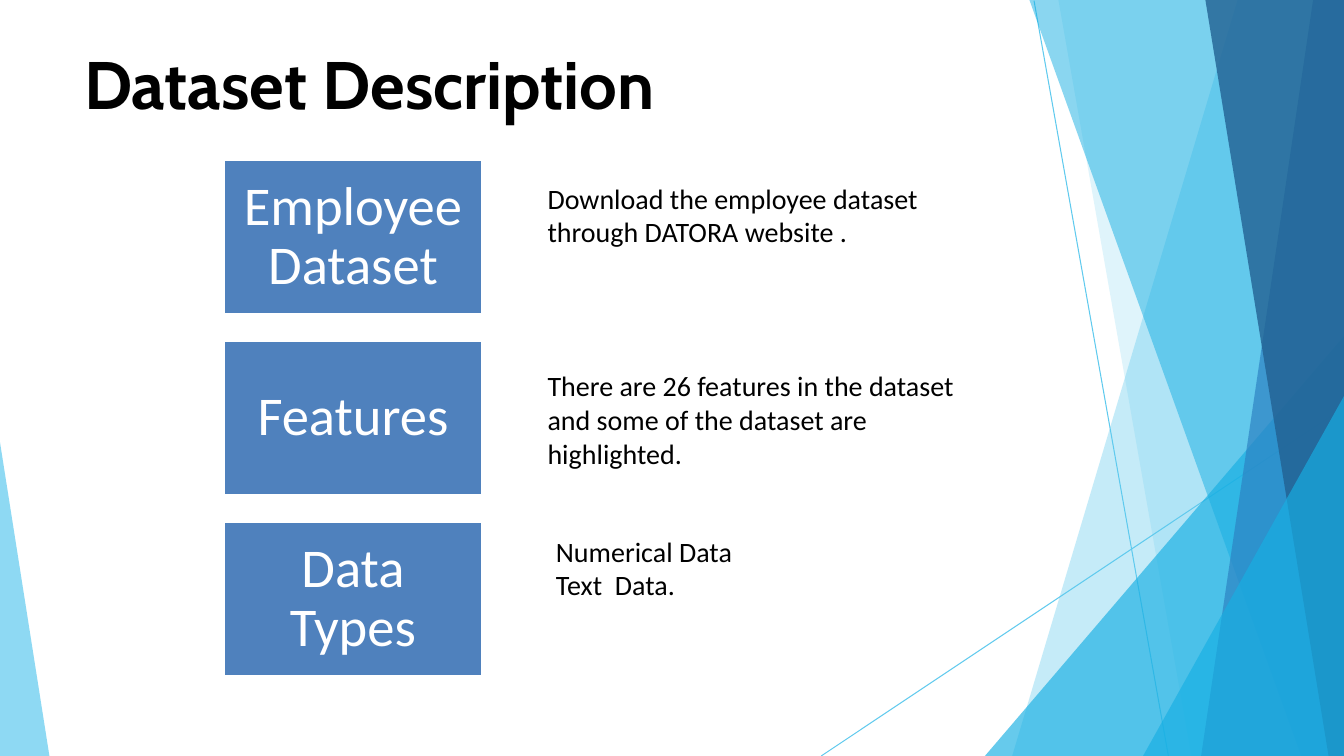
from dataclasses import dataclass

from lxml import etree
from pptx import Presentation
from pptx.dml.color import RGBColor
from pptx.enum.shapes import MSO_CONNECTOR, MSO_SHAPE
from pptx.enum.text import MSO_ANCHOR, PP_ALIGN
from pptx.oxml.ns import qn
from pptx.slide import Slide
from pptx.util import Pt

STRAIGHT = MSO_CONNECTOR.STRAIGHT
RECTANGLE = MSO_SHAPE.RECTANGLE
MIDDLE = MSO_ANCHOR.MIDDLE
CENTER = PP_ALIGN.CENTER

WIDTH, HEIGHT = 960, 540
TOPIC_LEFT, TOPIC_TOP, TOPIC_STEP = 160, 114, 129.25
TOPIC_WIDTH, TOPIC_HEIGHT = 184.3, 110.6
TOPIC_INSET = 11.5
COLORS = {
    "sky": "5FCAEE",
    "cyan": "17AFE3",
    "blue": "2D83C3",
    "navy": "226192",
    "topic": "4F81BD",
    "white": "FFFFFF",
    "black": "000000",
}


@dataclass(frozen=True)
class Ray:
    start: tuple[float, float]
    end: tuple[float, float]


@dataclass(frozen=True)
class Facet:
    corners: tuple[tuple[float, float], ...]
    color: str
    opacity: int


@dataclass(frozen=True)
class Topic:
    name: str
    details: tuple[str, ...]
    left: float
    top: float
    width: float
    height: float


def right_band(top_x: float, bottom_x: float) -> tuple[tuple[float, float], ...]:
    """Corners of a full-height band reaching the right edge."""
    return (WIDTH, 0), (top_x, 0), (bottom_x, HEIGHT), (WIDTH, HEIGHT)


def right_corner(top_y: float, bottom_x: float) -> tuple[tuple[float, float], ...]:
    """Corners of a triangle in the bottom right of the slide."""
    return (WIDTH, top_y), (bottom_x, HEIGHT), (WIDTH, HEIGHT)


RAYS = (
    Ray((738.6, 0.5), (834.6, HEIGHT)),
    Ray((WIDTH, 291), (586.6, HEIGHT)),
)
FACETS = (
    Facet(right_band(884, 723), "sky", 36),
    Facet(right_band(756, 851), "sky", 20),
    Facet(right_corner(240, 703.5), "cyan", 66),
    Facet(right_band(735.3, 929.5), "cyan", 50),
    Facet(right_band(938, 858), "blue", 70),
    Facet(right_band(861, 949), "navy", 80),
    Facet(right_corner(283, 816.5), "cyan", 66),
    Facet(((0, 316), (0, HEIGHT), (35.3, HEIGHT)), "sky", 70),
)
TOPICS = (
    Topic("Employee Dataset",
          ("Download the employee dataset through DATORA website .",),
          384, 126, 336, 55.7),
    Topic("Features",
          ("There are 26 features in the dataset and some of the dataset are highlighted.",),
          384, 260, 306, 80),
    Topic("Data Types", ("Numerical Data", "Text  Data."),
          390, 378, 300, 55.7),
)


def rgb(color: str) -> RGBColor:
    return RGBColor.from_string(COLORS[color])


def draw_ray(slide: Slide, ray: Ray) -> None:
    line = slide.shapes.add_connector(
        STRAIGHT, *(Pt(length) for length in ray.start + ray.end))
    line.line.color.rgb = rgb("sky")
    line.line.width = Pt(0.75)
    etree.SubElement(line._element.spPr, qn("a:effectLst"))


def draw_facet(slide: Slide, facet: Facet) -> None:
    start, *others = [(Pt(x), Pt(y)) for x, y in facet.corners]
    builder = slide.shapes.build_freeform(*start)
    builder.add_line_segments(others, close=True)
    shape = builder.convert_to_shape()
    shape.shadow.inherit = False
    shape.fill.solid()
    shape.fill.fore_color.rgb = rgb(facet.color)
    shape.line.fill.background()
    color = shape._element.spPr.find(qn("a:solidFill"))[0]
    etree.SubElement(color, qn("a:alpha"), val=str(facet.opacity * 1000))


def set_insets(frame, horizontal: float, vertical: float) -> None:
    frame.margin_left = frame.margin_right = Pt(horizontal)
    frame.margin_top = frame.margin_bottom = Pt(vertical)


def write(frame, lines: tuple[str, ...], size: float, color: str = "black",
          font_name: str = "Calibri", bold: bool = False) -> None:
    frame.word_wrap = True
    frame.text = "\n".join(lines)
    for paragraph in frame.paragraphs:
        paragraph.font.size = Pt(size)
        paragraph.font.name = font_name
        paragraph.font.bold = bold
        paragraph.font.color.rgb = rgb(color)


def draw_title(slide: Slide) -> None:
    title = slide.shapes.add_textbox(Pt(60), Pt(30), Pt(841), Pt(60)).text_frame
    set_insets(title, 0, 0)
    write(title, ("Dataset Description",), 48, font_name="Cabin", bold=True)


def draw_topic(slide: Slide, topic: Topic, row: int) -> None:
    box = slide.shapes.add_shape(
        RECTANGLE, Pt(TOPIC_LEFT), Pt(TOPIC_TOP + row * TOPIC_STEP),
        Pt(TOPIC_WIDTH), Pt(TOPIC_HEIGHT))
    box.shadow.inherit = False
    box.fill.solid()
    box.fill.fore_color.rgb = rgb("topic")
    box.line.color.rgb = rgb("white")
    box.line.width = Pt(2)
    label = box.text_frame
    set_insets(label, TOPIC_INSET, TOPIC_INSET)
    label.vertical_anchor = MIDDLE
    write(label, (topic.name,), 39, "white")
    label.paragraphs[0].alignment = CENTER
    label.paragraphs[0].line_spacing = 0.9

    details = slide.shapes.add_textbox(
        Pt(topic.left), Pt(topic.top), Pt(topic.width), Pt(topic.height))
    write(details.text_frame, topic.details, 20)


def main() -> None:
    presentation = Presentation()
    presentation.slide_width, presentation.slide_height = Pt(WIDTH), Pt(HEIGHT)
    slide = presentation.slides.add_slide(presentation.slide_layouts[6])
    for ray in RAYS:
        draw_ray(slide, ray)
    for facet in FACETS:
        draw_facet(slide, facet)
    draw_title(slide)
    for row, topic in enumerate(TOPICS):
        draw_topic(slide, topic, row)
    presentation.save("out.pptx")


if __name__ == "__main__":
    main()
